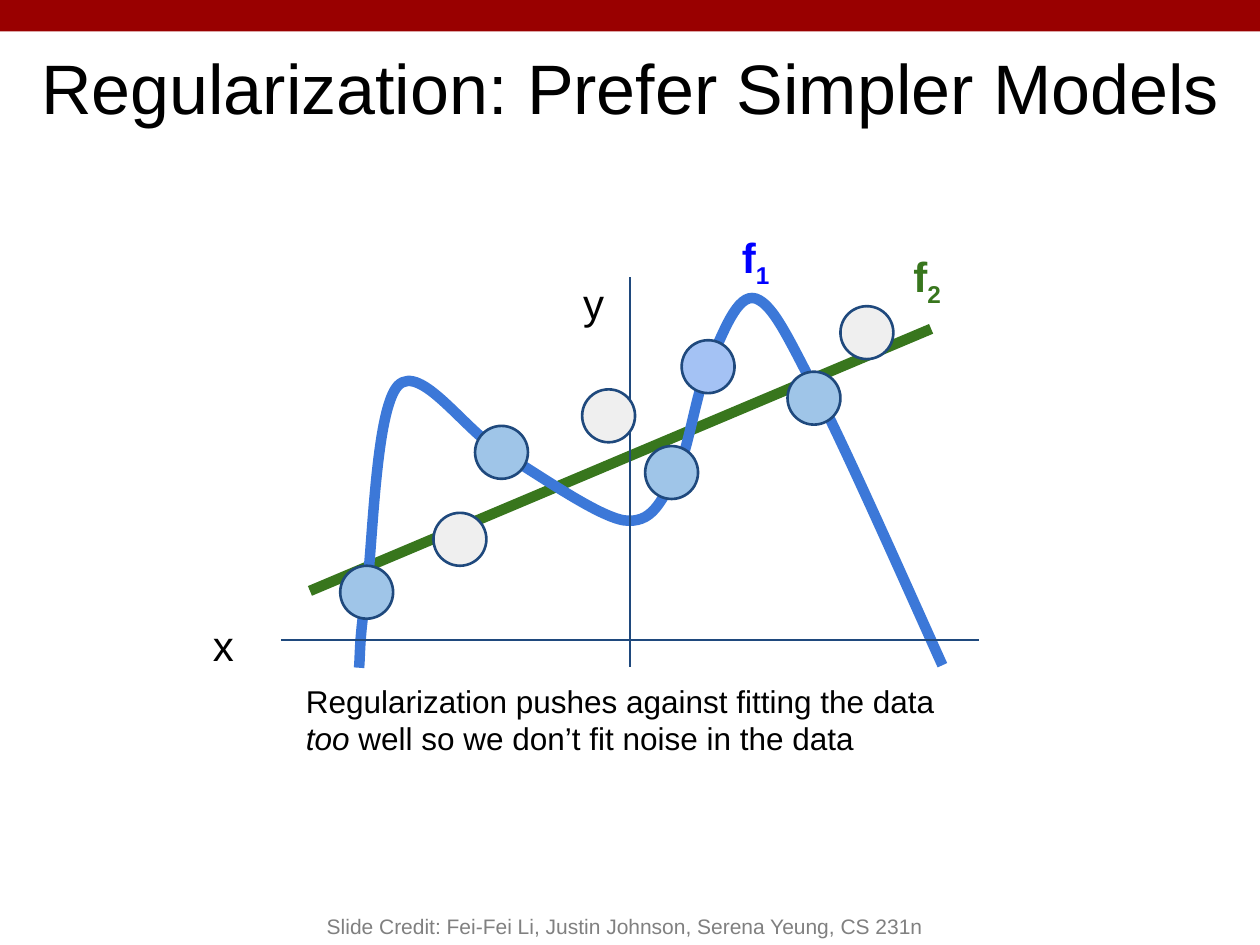
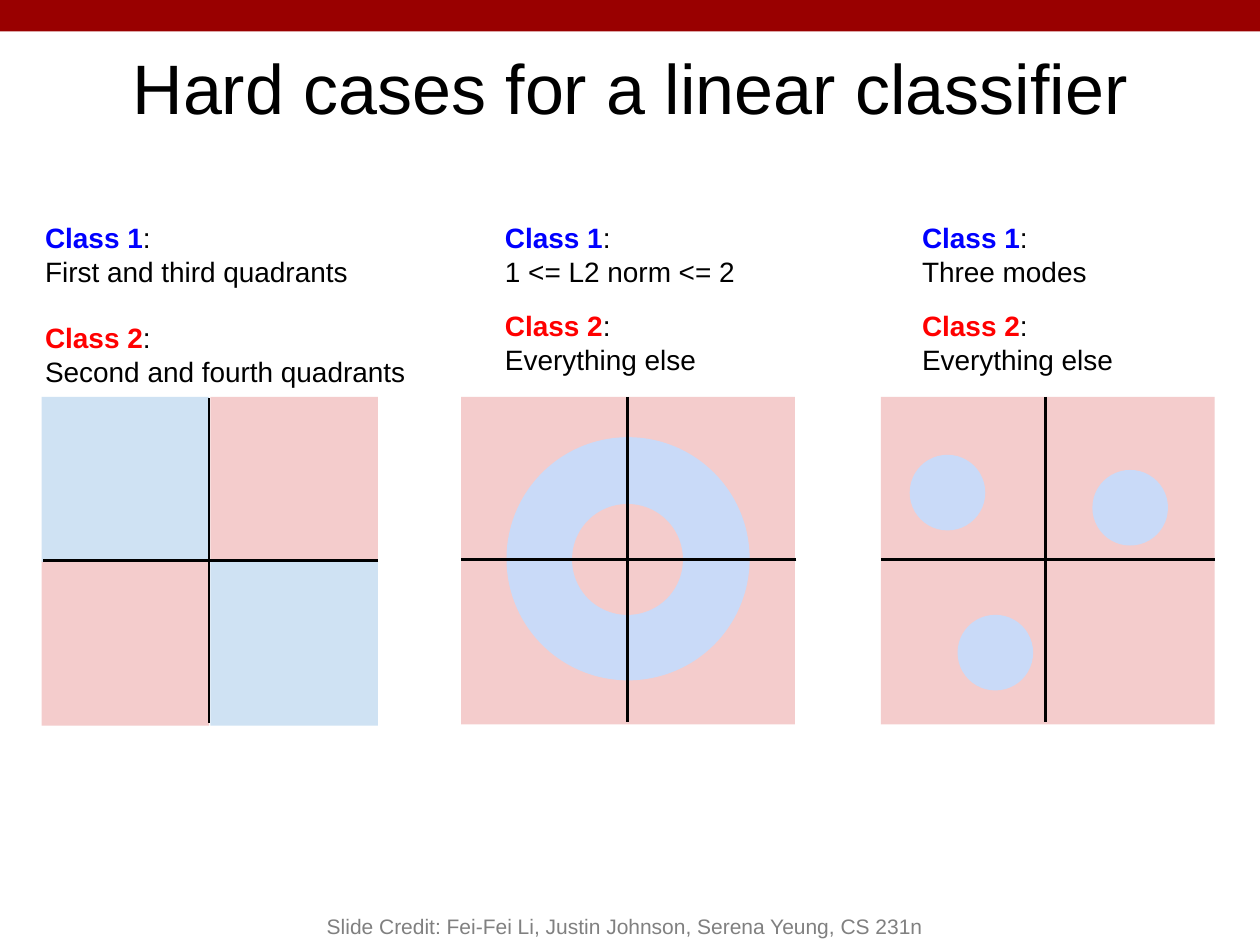
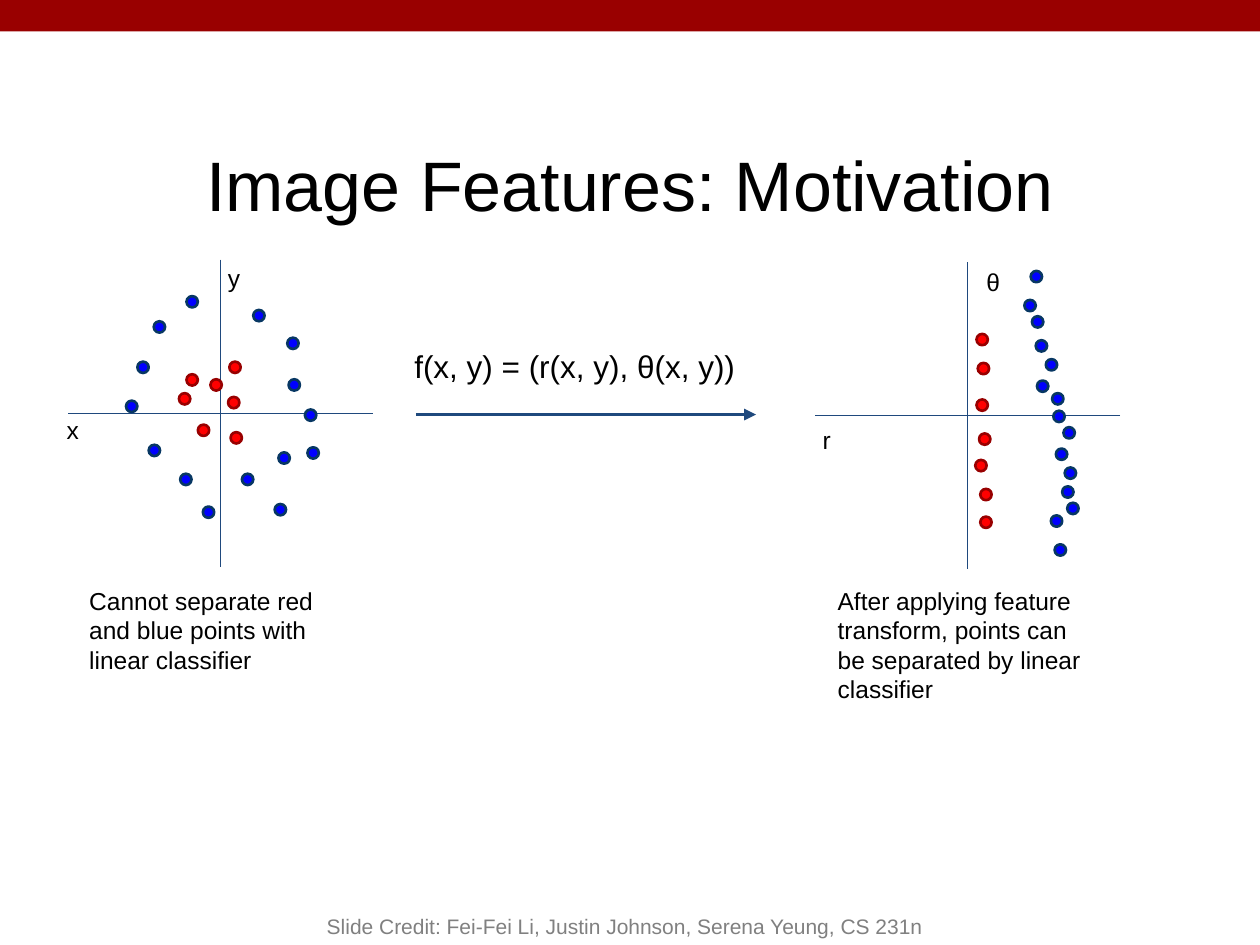
"""Build three slides on regularization, hard linear cases and image features."""
from lxml import etree
from pptx import Presentation
from pptx.dml.color import RGBColor
from pptx.enum import shapes, text
from pptx.oxml.ns import qn
from pptx.util import Inches, Pt

BLACK, BLUE, RED, GREEN, NAVY = "000000", "0000FF", "FF0000", "38761D", "1F497D"
BAND, GREY, CURVE = "990000", "808080", "3C78D8"
SKY, LILAC, PALE = "9FC5E8", "A4C2F4", "EFEFEF"
PINK, ICE, MIST = "F4CCCC", "CFE2F3", "C9DAF8"
OVAL, RECT = shapes.MSO_SHAPE.OVAL, shapes.MSO_SHAPE.RECTANGLE
NODE = shapes.MSO_SHAPE.FLOWCHART_CONNECTOR
CREDIT = "Slide Credit: Fei-Fei Li, Justin Johnson, Serena Yeung, CS 231n"

START = (2.85, 5.3)
BENDS = [
    [(2.86, 5.2), (2.85, 5.06), (2.91, 4.69)], [(2.96, 4.32), (2.98, 3.25), (3.16, 3.06)],
    [(3.34, 2.88), (3.69, 3.42), (3.98, 3.59)], [(4.28, 3.77), (4.73, 4.09), (4.95, 4.13)],
    [(5.18, 4.16), (5.24, 3.98), (5.36, 3.78)], [(5.47, 3.57), (5.52, 3.12), (5.63, 2.88)],
    [(5.74, 2.65), (5.85, 2.32), (6, 2.37)], [(6.14, 2.42), (6.26, 2.69), (6.51, 3.17)],
    [(6.76, 3.66), (7.32, 4.93), (7.48, 5.28)],
]
NODES = [
    (SKY, [(2.7, 4.49), (3.77, 3.38), (6.25, 2.95), (5.12, 3.54)]),
    (LILAC, [(5.41, 2.7)]),
    (PALE, [(3.44, 4.07), (4.62, 3.09), (6.67, 2.43)]),
]
CURVES = [("1", BLUE, 5.79, 1.74), ("2", GREEN, 7.15, 1.89)]
NOTE = [("Regularization pushes against fitting the data ", {}), ("too", {"italic": True}),
        (" well so we don’t fit noise in the data", {})]

CASES = [
    ("First and third quadrants", "Second and fourth quadrants", (0.26, 1.65, 3.16, 1.24), 19),
    ("1 <= L2 norm <= 2", "Everything else", (3.91, 1.65, 2.17, 1.53), 12),
    ("Three modes", "Everything else", (7.22, 1.65, 2.17, 1.53), 12),
]
QUADS = [(0, 1, PINK), (1, 0, PINK), (1, 1, ICE), (0, 0, ICE)]
RINGS = [(4.02, 3.47, 1.93, MIST), (4.54, 4, 0.88, PINK)]
MODES = [(7.6, 4.88), (7.22, 3.61), (8.67, 3.73)]
AXES = [(0.34, 1.66, 3, 3.16), (3.66, 4.98, 6.32, 3.15), (6.99, 8.3, 9.64, 3.15)]

PLOTS = [
    {"mid": (1.75, 3.28), "tags": [("x", 0.43, 3.19), ("y", 1.71, 1.99)], "left": 0.61,
     "note": "Cannot separate red and blue points with linear classifier",
     "red": [(1.48, 2.97), (1.82, 2.87), (1.57, 3.37), (1.83, 3.43), (1.81, 3.15),
             (1.42, 3.12), (1.67, 3.01)],
     "blue": [(1.22, 2.55), (1.48, 2.35), (2.01, 2.46), (2.29, 3.01), (2.21, 3.59),
              (1.92, 3.76), (1.43, 3.76), (1.18, 3.53), (1, 3.18), (1.09, 2.87),
              (2.28, 2.68), (2.44, 3.55), (1.61, 4.02), (2.42, 3.25), (2.18, 4)]},
    {"mid": (7.68, 3.3), "tags": [("r", 6.43, 3.27), ("θ", 7.73, 2.02)], "left": 6.55,
     "note": "After applying feature transform, points can be separated by linear classifier",
     "red": [(7.78, 4.1), (7.76, 2.88), (7.75, 2.65), (7.77, 3.44), (7.75, 3.17),
             (7.74, 3.65), (7.78, 3.88)],
     "blue": [(8.37, 4.32), (8.19, 2.51), (8.13, 2.38), (8.23, 3.02), (8.43, 3.86),
              (8.3, 2.85), (8.35, 3.12), (8.45, 3.71), (8.47, 3.99), (8.44, 3.39),
              (8.22, 2.7), (8.38, 3.56), (8.18, 2.15), (8.36, 3.26), (8.34, 4.09)]},
]


def rgb(code):
    return RGBColor.from_string(code)


def stroke(item, color, width):
    item.line.color.rgb = rgb(color)
    item.line.width = Pt(width)


def shape(slide, kind, x, y, w, h, fill, edge=None):
    item = slide.shapes.add_shape(kind, *map(Inches, (x, y, w, h)))
    item.shadow.inherit = False
    item.fill.solid()
    item.fill.fore_color.rgb = rgb(fill)
    if edge:
        stroke(item, edge, 1.5)
    else:
        item.line.fill.background()


def line(slide, start, end, color, width, arrow=False):
    item = slide.shapes.add_connector(shapes.MSO_CONNECTOR.STRAIGHT,
                                      *map(Inches, (*start, *end)))
    stroke(item, color, width)
    if arrow:
        etree.SubElement(item.line._get_or_add_ln(), qn("a:tailEnd"), type="triangle")
    etree.SubElement(item._element.spPr, qn("a:effectLst"))


def write(slide, box, paras, size, color=BLACK, center=False, bottom=False, gaps=()):
    frame = slide.shapes.add_textbox(*map(Inches, box)).text_frame
    frame.word_wrap = True
    frame.margin_left = frame.margin_right = Inches(0.1)
    frame.margin_top = frame.margin_bottom = Inches(0.05 if bottom else 0.1)
    if bottom:
        frame.vertical_anchor = text.MSO_ANCHOR.BOTTOM
    for n, runs in enumerate(paras):
        para = frame.paragraphs[0] if n == 0 else frame.add_paragraph()
        if center:
            para.alignment = text.PP_ALIGN.CENTER
        if n in gaps:
            para.space_before = Pt(gaps[n])
        para.font.name, para.font.size = "Arial", Pt(size)
        para.font.color.rgb = rgb(color)
        for words, look in [(runs, {})] if isinstance(runs, str) else runs:
            run = para.add_run()
            run.text = words
            run.font.bold = look.get("bold")
            run.font.italic = look.get("italic")
            if "color" in look:
                run.font.color.rgb = rgb(look["color"])
            if "base" in look:
                run._r.get_or_add_rPr().set("baseline", look["base"])


def base(deck, title, box=(0.34, 0.25, 9.32, 0.63)):
    slide = deck.slides.add_slide(deck.slide_layouts[6])
    shape(slide, RECT, 0, 0, 10, 0.25, BAND)
    write(slide, box, [title], 40, center=True)
    write(slide, (2, 7, 5.92, 0.5), [CREDIT], 12, GREY, center=True, bottom=True)
    return slide


def wave(slide):
    pen = slide.shapes.build_freeform(*map(Inches, START))
    pen.add_line_segments([tuple(map(Inches, bend[-1])) for bend in BENDS], close=False)
    item = pen.convert_to_shape()
    for leg, bend in zip(list(item._element.iter(qn("a:lnTo"))), BENDS):
        arc = etree.Element(qn("a:cubicBezTo"))
        for x, y in bend:
            etree.SubElement(arc, qn("a:pt"), x=str(Inches(x) - item.left),
                             y=str(Inches(y) - item.top))
        leg.getparent().replace(leg, arc)
    item.shadow.inherit = False
    item.fill.background()
    stroke(item, CURVE, 6)


def models(deck):
    slide = base(deck, "Regularization: Prefer Simpler Models", (0, 0.25, 10, 0.84))
    line(slide, (2.46, 4.69), (7.39, 2.61), GREEN, 6)
    wave(slide)
    line(slide, (2.23, 5.08), (7.77, 5.08), NAVY, 1.5)
    line(slide, (5, 2.2), (5, 5.29), NAVY, 1.5)
    for fill, spots in NODES:
        for x, y in spots:
            shape(slide, NODE, x, y, 0.42, 0.42, fill, NAVY)
    write(slide, (1.59, 4.82, 0.52, 0.53), ["x"], 24)
    write(slide, (4.53, 2.1, 0.52, 0.53), ["y"], 24)
    for sub, color, x, y in CURVES:
        name = [("f", {"bold": True}), (sub, {"bold": True, "base": "-25000"})]
        write(slide, (x, y, 0.52, 0.63), [name], 24, color)
    write(slide, (2.33, 5.31, 5.34, 0.61), [NOTE], 18)


def cases(deck):
    slide = base(deck, "Hard cases for a linear classifier")
    for col, row, fill in QUADS:
        shape(slide, RECT, 0.33 + 1.34 * col, 3.15 + 1.3 * row, 1.33, 1.31, fill)
    for x in (3.66, 6.99):
        shape(slide, RECT, x, 3.15, 2.65, 2.6, PINK)
    for x, y, size, fill in RINGS:
        shape(slide, OVAL, x, y, size, size, fill)
    for x, y in MODES:
        shape(slide, OVAL, x, y, 0.6, 0.6, MIST)
    for left, mid, right, top in AXES:
        line(slide, (mid, top), (mid, top + 2.58), BLACK, 1.5)
        line(slide, (right, top + 1.29), (left, top + 1.29), BLACK, 1.5)
    for one, two, box, gap in CASES:
        heads = [[(name, {"bold": True, "color": color}), (":", {})]
                 for name, color in (("Class 1", BLUE), ("Class 2", RED))]
        write(slide, box, [heads[0], one, heads[1], two], 16, gaps={2: gap})


def features(deck):
    slide = base(deck, "Image Features: Motivation", (0.34, 1.02, 9.32, 0.63))
    for plot in PLOTS:
        x, y = plot["mid"]
        line(slide, (x, y - 1.22), (x, y + 1.22), NAVY, 0.75)
        line(slide, (x + 1.21, y), (x - 1.21, y), NAVY, 0.75)
        for key, fill, edge in (("red", RED, "980000"), ("blue", BLUE, "073763")):
            for left, top in plot[key]:
                shape(slide, OVAL, left, top, 0.09, 0.09, fill, edge)
        for tag, left, top in plot["tags"]:
            write(slide, (left, top, 0.29, 0.3), [tag], 14)
        write(slide, (plot["left"], 4.55, 2.27, 0.96), [plot["note"]], 14)
    write(slide, (3.19, 2.65, 2.83, 0.49), ["f(x, y) = (r(x, y), θ(x, y))"], 18)
    line(slide, (3.3, 3.29), (6, 3.29), NAVY, 2.25, arrow=True)


def main():
    deck = Presentation()
    deck.slide_width, deck.slide_height = Inches(10), Inches(7.5)
    models(deck)
    cases(deck)
    features(deck)
    deck.save("out.pptx")


if __name__ == "__main__":
    main()
